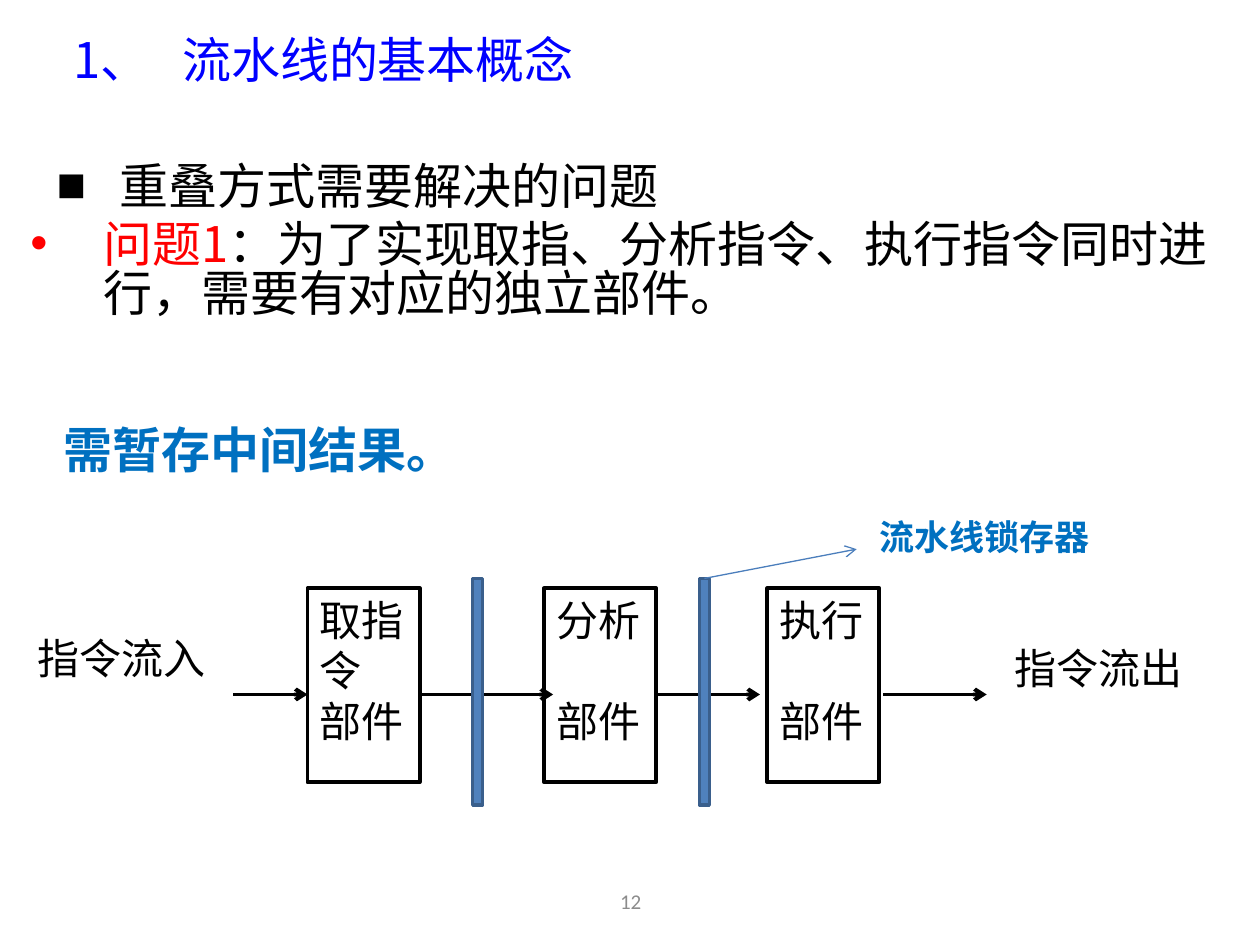
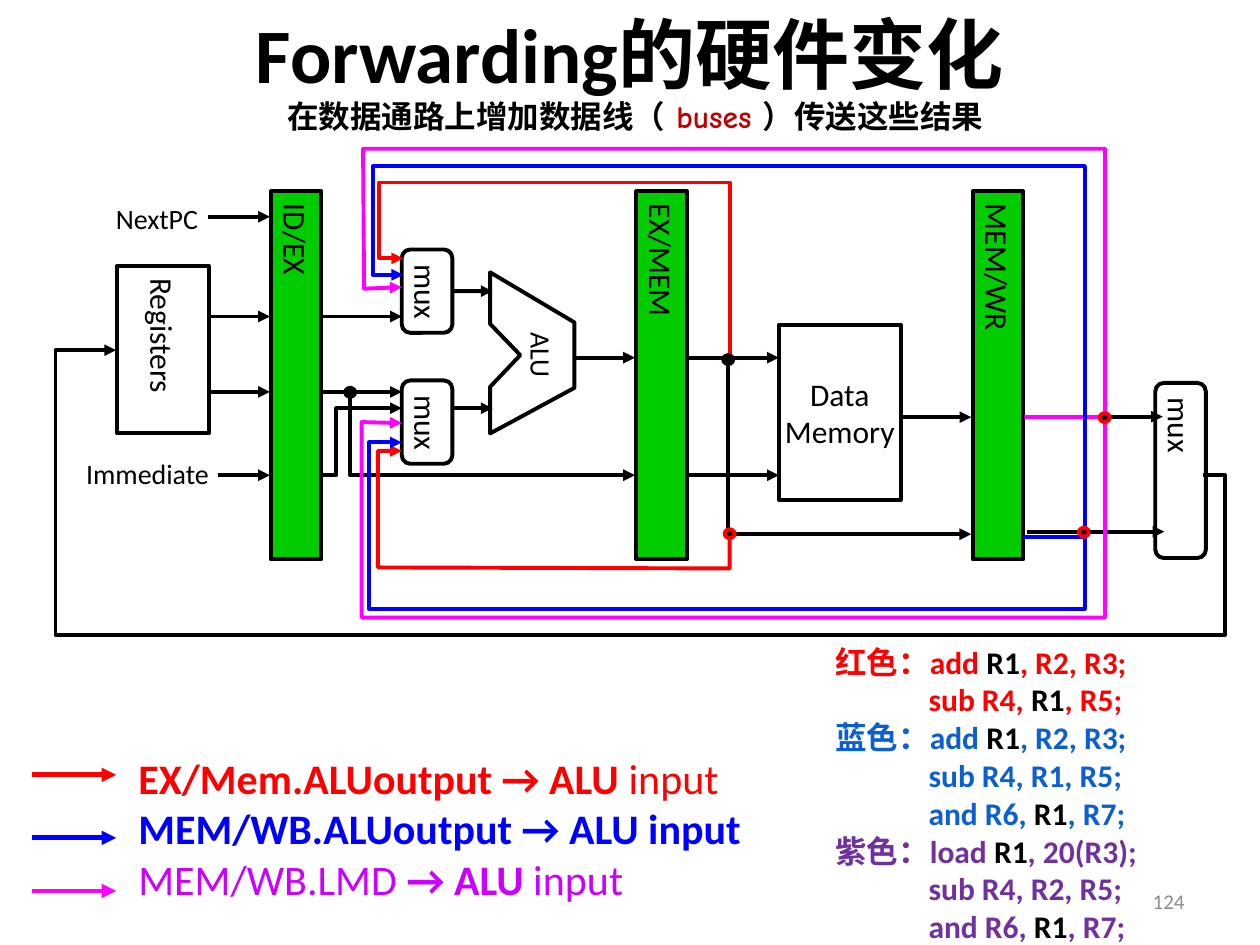
from dataclasses import dataclass

from lxml.etree import SubElement
from pptx import Presentation
from pptx.dml.color import RGBColor
from pptx.enum.shapes import MSO_CONNECTOR, MSO_SHAPE
from pptx.enum.text import MSO_ANCHOR, MSO_AUTO_SIZE, PP_ALIGN
from pptx.oxml.ns import qn
from pptx.util import Cm, Pt


@dataclass(frozen=True)
class Theme:
    black: str = "000000"
    red: str = "FF0000"
    blue: str = "0000FF"
    magenta: str = "FF00FF"
    violet: str = "CC00FF"
    accent: str = "0070C0"
    latch: str = "4F81BD"
    latch_edge: str = "3A5F8C"
    pointer: str = "4B7EBC"
    register: str = "00CC00"
    code_blue: str = "0B5FD1"
    code_purple: str = "7030A0"
    buses: str = "C00000"
    grey: str = "8C8C8C"
    latin: str = "Calibri"
    cjk: str = "Noto Sans CJK SC"
    comic: str = "Comic Neue"
    title: int = 44
    head: int = 28
    large: int = 24
    medium: int = 20
    text: int = 18
    small: int = 16
    footer: int = 12
    line: float = 2.25


T = Theme()


def add_run(p, text, size, color=T.black, bold=False, font=T.latin):
    r = p.add_run()
    r.text = text
    r.font.size = Pt(size)
    r.font.bold = bold
    r.font.color.rgb = RGBColor.from_string(color)
    r.font.name = font
    SubElement(r._r.get_or_add_rPr(), qn("a:ea"), typeface=font)


def paragraph(tf, index, align=PP_ALIGN.LEFT):
    p = tf.paragraphs[0] if index == 0 else tf.add_paragraph()
    p.alignment = align
    return p


def indent(p, margin, first=0):
    """Set the left margin and first-line offset, both in centimetres."""
    pPr = p._p.get_or_add_pPr()
    pPr.set("marL", str(Cm(margin)))
    pPr.set("indent", str(Cm(first)))
    return pPr


def place(shape, x, y, w, h):
    shape.left, shape.top, shape.width, shape.height = Cm(x), Cm(y), Cm(w), Cm(h)


def text_box(s, x, y, w, h, anchor=MSO_ANCHOR.TOP, wrap=True):
    box = s.shapes.add_textbox(Cm(x), Cm(y), Cm(w), Cm(h))
    box.text_frame.word_wrap = wrap
    box.text_frame.vertical_anchor = anchor
    return box


def label(s, x, y, w, h, text, size, color=T.black, bold=False,
          align=PP_ALIGN.LEFT, anchor=MSO_ANCHOR.TOP):
    box = text_box(s, x, y, w, h, anchor)
    add_run(paragraph(box.text_frame, 0, align), text, size, color, bold)
    return box


def page_number(s, x, w, number, align):
    label(s, x, 17.65, w, 1.02, number, T.footer, T.grey, align=align, anchor=MSO_ANCHOR.MIDDLE)


def title(s, box, text, size, align, color=T.black, bold=False, font=T.latin):
    shape = s.shapes.title
    place(shape, *box)
    tf = shape.text_frame
    tf.auto_size = MSO_AUTO_SIZE.NONE
    tf.vertical_anchor = MSO_ANCHOR.MIDDLE
    p = paragraph(tf, 0, align)
    add_run(p, text, size, color, bold, font)
    return p


def stroke(shape, color, width=T.line, head=None):
    shape.line.color.rgb = RGBColor.from_string(color)
    shape.line.width = Pt(width)
    if head:
        SubElement(shape.element.spPr.find(qn("a:ln")), qn("a:tailEnd"), type=head)


def block(s, x, y, w, h, kind=MSO_SHAPE.RECTANGLE, fill=None, edge=T.black, width=T.line):
    shape = s.shapes.add_shape(kind, Cm(x), Cm(y), Cm(w), Cm(h))
    shape.shadow.inherit = False
    if fill:
        shape.fill.solid()
        shape.fill.fore_color.rgb = RGBColor.from_string(fill)
    else:
        shape.fill.background()
    stroke(shape, edge, width)
    return shape


def arrow(s, x1, y1, x2, y2, color=T.black, width=T.line, head="triangle"):
    line = s.shapes.add_connector(MSO_CONNECTOR.STRAIGHT, Cm(x1), Cm(y1), Cm(x2), Cm(y2))
    stroke(line, color, width, head)
    SubElement(line.element.spPr, qn("a:effectLst"))
    return line


def polyline(s, x, y, points, color=T.black, close=False):
    """Draw an outline relative to (x, y); an open one ends in an arrowhead."""
    pts = [(Cm(x + px), Cm(y + py)) for px, py in points]
    builder = s.shapes.build_freeform(*pts[0])
    builder.add_line_segments(pts[1:], close=close)
    shape = builder.convert_to_shape()
    shape.shadow.inherit = False
    shape.fill.background()
    stroke(shape, color, head=None if close else "triangle")


def vertical_block(s, x, y, w, h, text, **look):
    shape = block(s, x, y, w, h, **look)
    tf = shape.text_frame
    tf.word_wrap = True
    tf.vertical_anchor = MSO_ANCHOR.MIDDLE
    tf.margin_left = tf.margin_right = tf.margin_top = tf.margin_bottom = 0
    tf._txBody.bodyPr.set("vert", "eaVert")
    p = paragraph(tf, 0)
    indent(p, 0.25)
    add_run(p, text, T.text)
    return shape


def problem_list(s, box):
    body = s.placeholders[1]
    place(body, *box)
    tf = body.text_frame
    tf.auto_size = MSO_AUTO_SIZE.NONE
    items = [
        ("■", 1.8, -1.27, [("重叠方式需要解决的问题", T.black)]),
        ("•", 1.47, -1.47, [("问题1", T.red),
                            ("：为了实现取指、分析指令、执行指令同时进行，需要有对应的独立部件。", T.black)]),
    ]
    for i, (bullet, margin, first, runs) in enumerate(items):
        p = paragraph(tf, i)
        SubElement(indent(p, margin, first), qn("a:buChar"), char=bullet)
        p.line_spacing = 0.83
        p.space_before = Pt(5.6 if i else 0)
        for text, color in runs:
            add_run(p, text, T.head, color, font=T.cjk)


def pipeline(s, x, y):
    for x1, x2 in [(4.2, 5.7), (7.98, 10.65), (12.73, 14.82), (17.31, 19.39)]:
        arrow(s, x + x1, y + 3.74, x + x2, y + 3.74, head="arrow")
    stages = [(5.7, ["取指", "令", "部件"]), (10.47, ["分析", "部件"]), (14.97, ["执行", "部件"])]
    for left, lines in stages:
        tf = block(s, x + left, y + 1.6, 2.26, 3.91).text_frame
        tf.word_wrap = True
        tf.vertical_anchor = MSO_ANCHOR.TOP
        for i, line in enumerate(lines):
            p = paragraph(tf, i)
            if i and len(lines) == 2:
                p.space_before = Pt(29)
            add_run(p, line, T.large)
    for left in (9.03, 13.6):
        latch = block(s, x + left, y + 1.4, 0.2, 4.57, fill=T.latch, edge=T.latch_edge, width=2)
    pointer = arrow(s, x + 13.7, y + 1.4, x + 16.77, y + 0.81, T.pointer, 0.75, "arrow")
    pointer.begin_connect(latch, 0)
    label(s, x + 16.98, y, 5.16, 1.12, "流水线锁存器", T.medium, T.accent, True)
    label(s, x, y + 2.36, 5.36, 1.27, "指令流入", T.large)
    label(s, x + 19.7, y + 2.57, 4.8, 1.83, "指令流出", T.large)


def datapath_blocks(s, x, y):
    """Draw the units of the datapath and return the upper ALU multiplexer."""
    for left, name in [(4.34, "ID/EX"), (11.71, "EX/MEM"), (18.49, "MEM/WR")]:
        vertical_block(s, x + left, y + 0.86, 1.02, 7.42, name, fill=T.register)
    vertical_block(s, x + 1.24, y + 2.36, 1.85, 3.38, "Registers")
    muxes = [vertical_block(s, x + left, y + top, 1.02, h, "mux", kind=MSO_SHAPE.ROUNDED_RECTANGLE)
             for left, top, h in [(6.98, 2.03, 1.68), (6.98, 4.67, 1.68), (22.17, 4.72, 3.53)]]
    tf = block(s, x + 14.58, y + 3.55, 2.46, 3.53).text_frame
    tf.word_wrap = False
    tf.vertical_anchor = MSO_ANCHOR.MIDDLE
    for i, word in enumerate(["Data", "Memory"]):
        add_run(paragraph(tf, i, PP_ALIGN.CENTER), word, T.text)
    polyline(s, x, y, [(8.76, 2.49), (10.46, 3.5), (10.46, 4.82), (8.76, 5.74),
                       (8.76, 4.8), (9.37, 4.16), (8.76, 3.53)], close=True)
    for left, top, w, name, turn in [(9.04, 3.68, 1.52, "ALU", 90), (0.84, 0.94, 2.41, "NextPC", 0),
                                     (0.23, 6.07, 3.25, "Immediate", 0)]:
        box = label(s, x + left, y + top, w, 0.94, name, T.small,
                    align=PP_ALIGN.CENTER, anchor=MSO_ANCHOR.MIDDLE)
        box.rotation = turn
    return muxes[0]


def datapath_wires(s, x, y, upper_mux):
    wires = [
        (3.07, 3.38, 4.32), (3.07, 4.9, 4.32), (5.33, 3.38, 6.98), (5.33, 4.9, 6.98),
        (3.07, 1.37, 4.32), (3.27, 6.58, 4.32), (8, 5.23, 8.81), (12.72, 6.58, 14.58),
        (10.46, 4.21, 11.68), (12.72, 4.21, 14.58), (17.04, 5.41, 18.46),
        (19.5, 5.4, 22.32), (19.58, 7.72, 22.35),
    ]
    for x1, level, x2 in wires:
        arrow(s, x + x1, y + level, x + x2, y + level)
    arrow(s, x + 8, y + 2.87, x + 8.81, y + 2.87).begin_connect(upper_mux, 3)
    bends = [
        (T.black, [(5.33, 6.58), (5.66, 6.58), (5.66, 5.23), (6.98, 5.23)]),
        (T.black, [(5.94, 4.9), (5.94, 6.58), (11.68, 6.58)]),
        (T.black, [(13.56, 4.21), (13.56, 7.77), (18.46, 7.77)]),
        (T.black, [(23.14, 6.58), (23.57, 6.58), (23.57, 9.8), (0, 9.8), (0, 4.06), (1.22, 4.06)]),
        (T.red, [(13.59, 7.77), (13.59, 8.46), (6.5, 8.44), (6.5, 6.09), (6.98, 6.09)]),
        (T.magenta, [(21.16, 5.41), (21.16, 0), (6.2, 0), (6.22, 2.82), (6.98, 2.79)]),
        (T.blue, [(19.5, 7.82), (20.75, 7.82), (20.75, 9.27), (6.32, 9.27), (6.32, 5.92), (6.98, 5.92)]),
        (T.magenta, [(19.53, 5.41), (21.16, 5.41), (21.16, 9.45), (6.17, 9.45), (6.17, 5.51), (6.98, 5.53)]),
        (T.red, [(13.59, 4.21), (13.59, 0.68), (6.53, 0.68), (6.53, 2.21), (7.01, 2.21)]),
        (T.blue, [(20.75, 7.77), (20.75, 0.35), (6.4, 0.35), (6.4, 2.54), (7.01, 2.54)]),
    ]
    for color, points in bends:
        polyline(s, x, y, points, color)
    joints = [(13.56, 4.25, T.black), (5.94, 4.91, T.black), (13.59, 7.76, T.red),
              (20.73, 7.73, T.red), (21.15, 5.42, T.red)]
    for cx, cy, edge in joints:
        block(s, x + cx - 0.1, y + cy - 0.09, 0.2, 0.18, MSO_SHAPE.OVAL, T.black, edge)


def legend(s, x, y):
    rows = [
        (0.58, T.red, T.red, [("EX/Mem.ALUoutput → ALU", True), (" input", False)]),
        (1.85, T.blue, T.blue, [("MEM/WB.ALUoutput → ALU input", True)]),
        (2.92, T.magenta, T.violet, [("MEM/WB.LMD ", False), ("→ ALU", True), (" input", False)]),
    ]
    tf = text_box(s, x + 1.9, y, 14.66, 3.3, wrap=False).text_frame
    for i, (top, line_color, color, runs) in enumerate(rows):
        arrow(s, x, y + top, x + 1.7, y + top, line_color, 2.75)
        p = paragraph(tf, i)
        for text, bold in runs:
            add_run(p, text, T.large, color, bold)


def code_examples(s, x, y):
    """List the instruction sequences; text between bars is set in black."""
    examples = [
        (T.red, ["红色：add |R1|, R2, R3;", "sub R4, |R1|, R5;"]),
        (T.code_blue, ["蓝色：add |R1|, R2, R3;", "sub R4, R1, R5;", "and R6, |R1|, R7;"]),
        (T.code_purple, ["紫色：load |R1|, 20(R3);", "sub R4, R2, R5;", "and R6, |R1|, R7;"]),
    ]
    tf = text_box(s, x, y, 7.06, 6.4).text_frame
    lines = [(color, n, line) for color, group in examples for n, line in enumerate(group)]
    for i, (color, n, line) in enumerate(lines):
        p = paragraph(tf, i)
        indent(p, 1.88, 0 if n else -1.88)
        for k, part in enumerate(line.split("|")):
            add_run(p, part, T.text, T.black if k % 2 else color, True)


def concept_slide(prs):
    s = prs.slides.add_slide(prs.slide_layouts[1])
    p = title(s, (1.22, 0.23, 23.34, 1.9), "1、\t流水线的基本概念", T.head, PP_ALIGN.LEFT,
              T.blue, font=T.cjk)
    tabs = SubElement(p._p.get_or_add_pPr(), qn("a:tabLst"))
    SubElement(tabs, qn("a:tab"), pos=str(Cm(2.2)), algn="l")
    problem_list(s, (0.36, 3.2, 24.33, 5))
    label(s, 1.04, 8.33, 9.3, 1.6, "需暂存中间结果。", T.head, T.accent, True)
    pipeline(s, 0.5, 10.26)
    page_number(s, 8.69, 8.05, "12", PP_ALIGN.CENTER)


def forwarding_slide(prs):
    s = prs.slides.add_slide(prs.slide_layouts[5])
    title(s, (1.27, -0.53, 22.86, 3.18), "Forwarding的硬件变化", T.title, PP_ALIGN.CENTER, bold=True)
    upper_mux = datapath_blocks(s, 1.12, 3)
    datapath_wires(s, 1.12, 3, upper_mux)
    legend(s, 0.64, 15.04)
    page_number(s, 18.21, 5.92, "124", PP_ALIGN.RIGHT)
    p = paragraph(text_box(s, 5.54, 1.4, 16.3, 1.47).text_frame, 0)
    p.line_spacing = Pt(34)
    for text, color in [("在数据通路上增加数据线（", T.black), (" buses ", T.buses),
                        ("）传送这些结果", T.black)]:
        add_run(p, text, T.text, color, True, T.comic)
    code_examples(s, 16.59, 12.83)


def main():
    prs = Presentation()
    prs.slide_width, prs.slide_height = Cm(25.4), Cm(19.05)
    concept_slide(prs)
    forwarding_slide(prs)
    prs.save("out.pptx")


if __name__ == "__main__":
    main()
